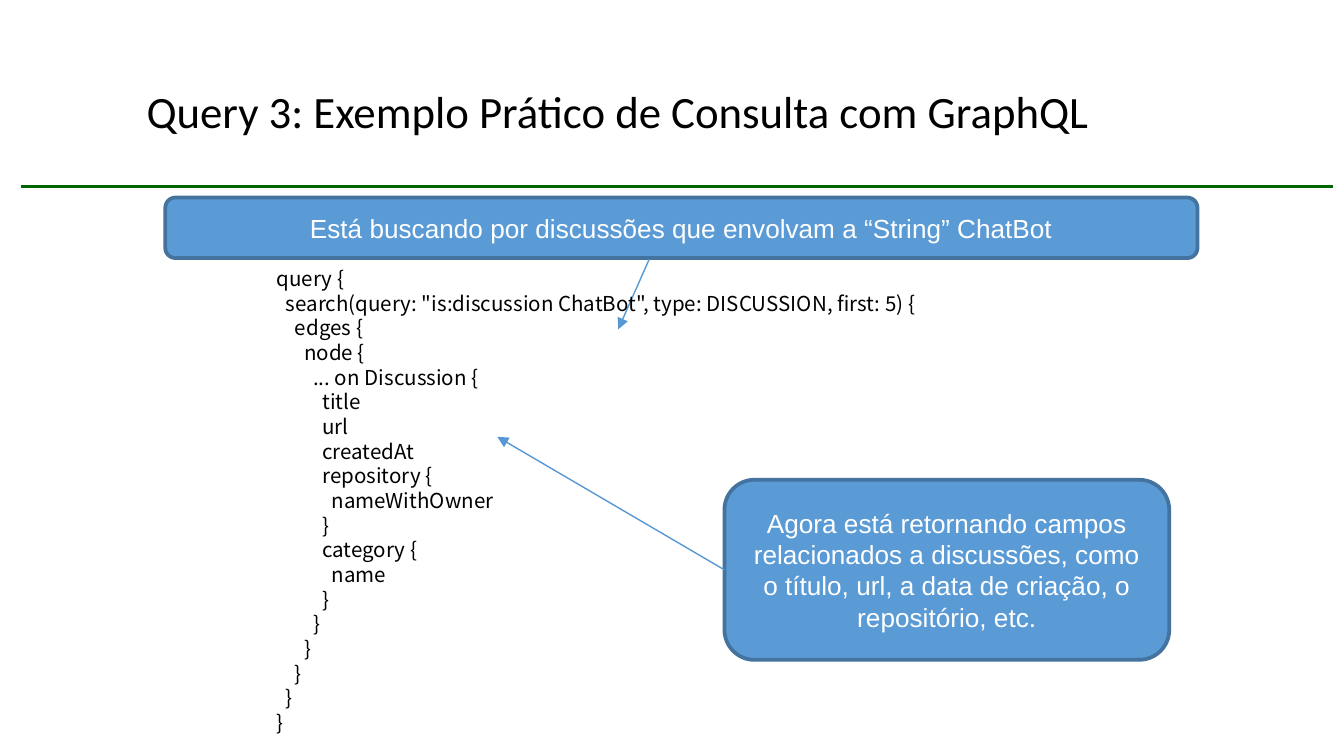
from dataclasses import dataclass

from lxml.etree import SubElement
from pptx import Presentation
from pptx.dml.color import RGBColor
from pptx.enum.shapes import MSO_CONNECTOR, MSO_SHAPE
from pptx.enum.text import MSO_ANCHOR as Anchor, MSO_AUTO_SIZE as AutoSize, PP_ALIGN as Align
from pptx.oxml.ns import qn
from pptx.util import Inches, Pt

LEFT_SIDE = 1

QUERY = """query {
search(query: "is:discussion ChatBot", type: DISCUSSION, first: 5) {
edges {
node {
... on Discussion {
title
url
createdAt
repository {
nameWithOwner
}
category {
name
}
}
}
}
}
}"""


@dataclass(frozen=True)
class Theme:
    ink: str = "000000"
    paper: str = "FFFFFF"
    rule: str = "006600"
    callout: str = "5B9BD5"
    callout_edge: str = "43739E"
    arrow: str = "5698D3"
    title_font: str = "Calibri"
    code_font: str = "Noto Sans CJK JP"
    callout_font: str = "Arial"
    title_size: float = 24
    code_size: float = 11
    code_pitch: float = 13.2
    code_indent: float = 4.9
    callout_size: float = 14


def grid(*cells):
    """Turn columns and rows of a tenth of an inch into lengths."""
    return [Inches(cell / 10) for cell in cells]


def write(para, text, *, font, size, color, align=Align.LEFT, spacing=None, indent=0):
    para.alignment = align
    if spacing:
        para.line_spacing = spacing
    if indent:
        para._p.get_or_add_pPr().set("marL", str(Pt(indent)))
    span = para.add_run()
    span.text = text
    span.font.name = font
    span.font.size = Pt(size)
    span.font.color.rgb = RGBColor.from_string(color)


def nested(code):
    """Yield each line of code with its depth in braces."""
    depth = 0
    for line in code.splitlines():
        depth -= line.startswith("}")
        yield line, depth
        depth += line.endswith("{")


class Page:
    def __init__(self, deck, theme):
        self.theme = theme
        self.slide = deck.slides.add_slide(deck.slide_layouts[5])
        self.shapes = self.slide.shapes

    def title(self, text, place):
        box = self.shapes.title
        box.left, box.top, box.width, box.height = grid(*place)
        frame = box.text_frame
        frame.auto_size = AutoSize.NONE
        frame.word_wrap = True
        frame.vertical_anchor = Anchor.MIDDLE
        frame.margin_left = frame.margin_right = Inches(0.07)
        frame.margin_top = frame.margin_bottom = Inches(0.04)
        theme = self.theme
        write(frame.paragraphs[0], text, font=theme.title_font,
              size=theme.title_size, color=theme.ink, spacing=0.9)

    def callout(self, text, place):
        theme = self.theme
        box = self.shapes.add_shape(MSO_SHAPE.ROUNDED_RECTANGLE, *grid(*place))
        box.shadow.inherit = False
        box.fill.solid()
        box.fill.fore_color.rgb = RGBColor.from_string(theme.callout)
        box.line.color.rgb = RGBColor.from_string(theme.callout_edge)
        box.line.width = Pt(2)
        frame = box.text_frame
        frame.word_wrap = True
        frame.vertical_anchor = Anchor.MIDDLE
        write(frame.paragraphs[0], text, font=theme.callout_font,
              size=theme.callout_size, color=theme.paper, align=Align.CENTER)
        return box

    def code(self, source, place):
        theme = self.theme
        frame = self.shapes.add_textbox(*grid(*place)).text_frame
        frame.word_wrap = True
        frame.auto_size = AutoSize.SHAPE_TO_FIT_TEXT
        for number, (line, depth) in enumerate(nested(source)):
            para = frame.add_paragraph() if number else frame.paragraphs[0]
            write(para, line, font=theme.code_font, size=theme.code_size,
                  color=theme.ink, spacing=Pt(theme.code_pitch),
                  indent=depth * theme.code_indent)

    def line(self, start, end, color, width):
        line = self.shapes.add_connector(MSO_CONNECTOR.STRAIGHT, *grid(*start, *end))
        line.line.color.rgb = RGBColor.from_string(color)
        line.line.width = Pt(width)
        SubElement(line._element.spPr, qn("a:effectLst"))
        return line

    def arrow(self, start, end):
        arrow = self.line(start, end, self.theme.arrow, 0.75)
        SubElement(arrow.line._get_or_add_ln(), qn("a:tailEnd"), type="triangle")
        return arrow


def main():
    deck = Presentation()
    deck.slide_width, deck.slide_height = grid(100, 56.25)
    theme = Theme()
    page = Page(deck, theme)
    page.line((1.6, 13.9), (99.2, 13.9), theme.rule, 1.5)
    page.title("Query 3: Exemplo Prático de Consulta com GraphQL", (10.2, 3, 85.7, 13.9 - 3))
    page.callout("Está buscando por discussões que envolvam a “String” ChatBot",
                 (12.3, 14.7, 76.8, 4.5))
    page.arrow((48.3, 19.3), (46, 24.5))
    page.code(QUERY, (19.6, 19.3, 88.8, 36.2))
    fields = page.callout(
        "Agora está retornando campos relacionados a discussões, como o título, url, "
        "a data de criação, o repositório, etc.", (53.9, 35.7, 33.1, 13.4))
    page.arrow((53.9, 42.4), (37, 32.5)).begin_connect(fields, LEFT_SIDE)
    deck.save("out.pptx")


if __name__ == "__main__":
    main()
